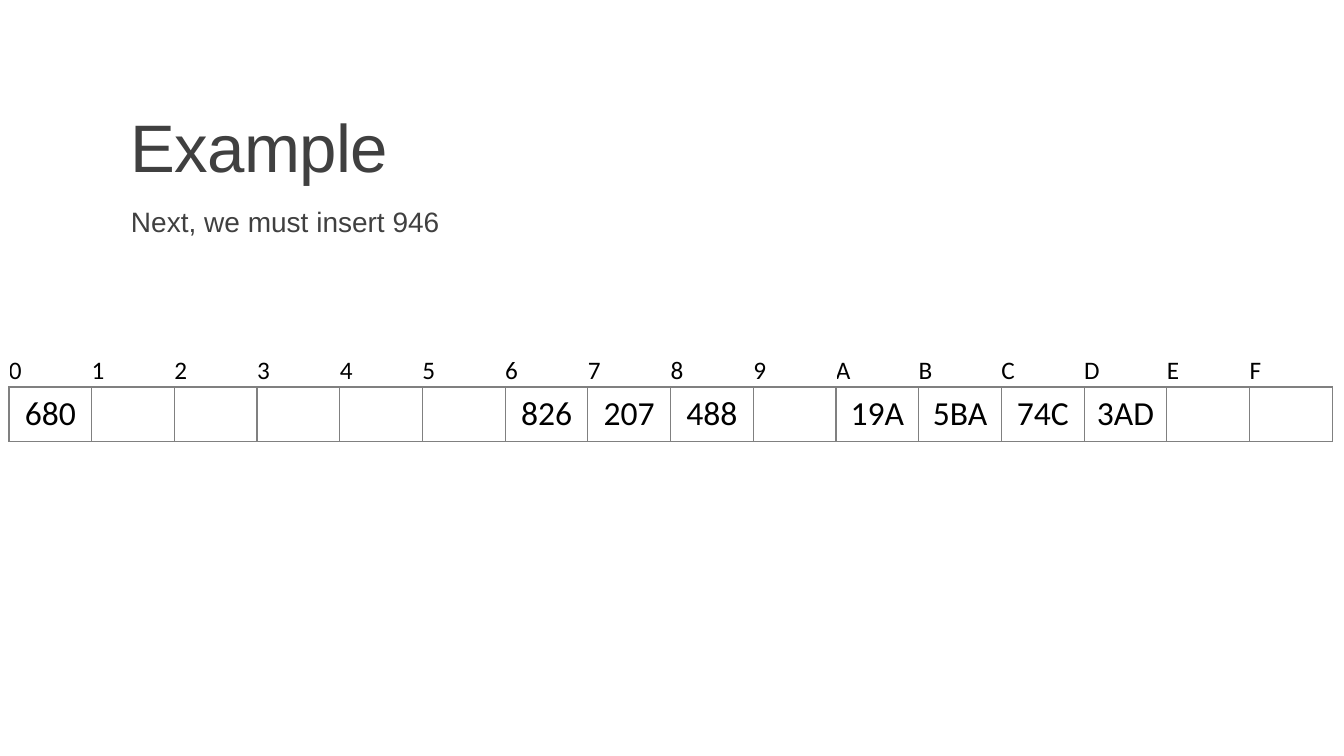
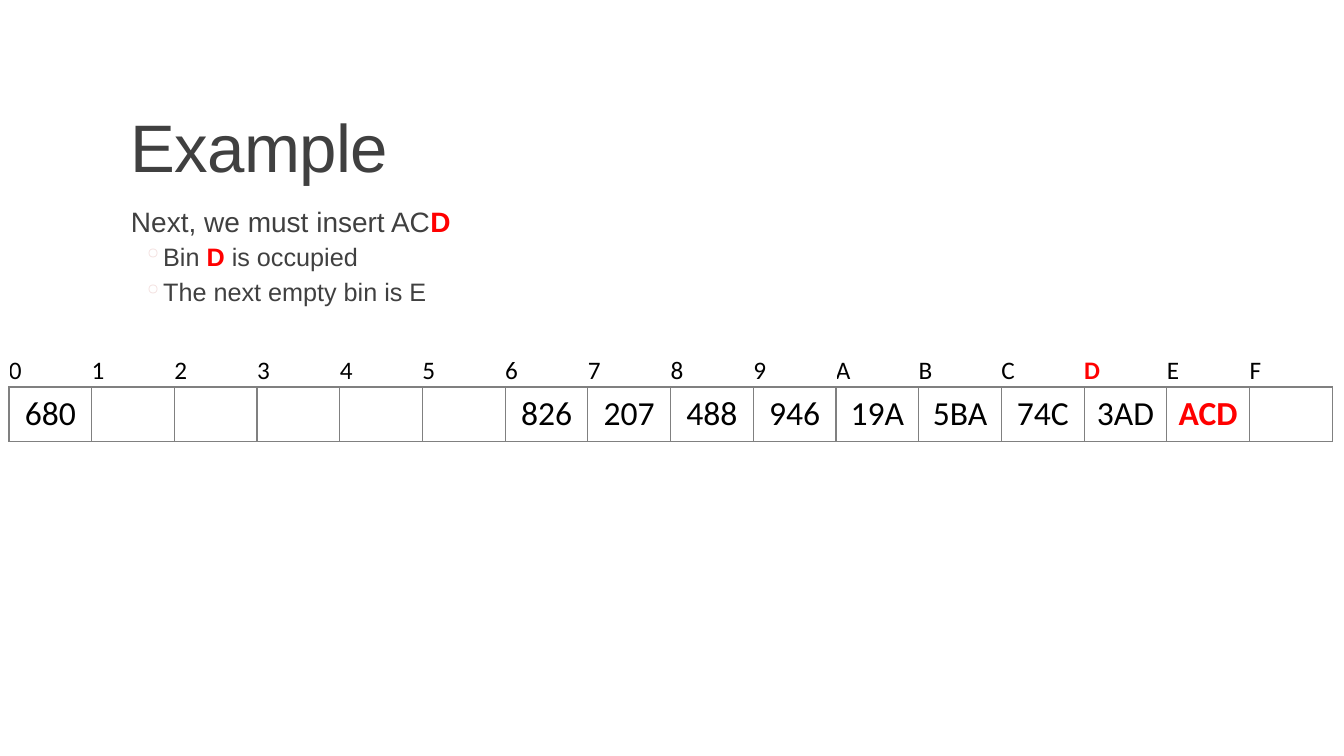
from dataclasses import dataclass

from lxml.etree import SubElement
from pptx import Presentation
from pptx.dml.color import RGBColor
from pptx.enum.text import MSO_ANCHOR, PP_ALIGN
from pptx.oxml.ns import qn
from pptx.util import Pt

BINS = "0123456789ABCDEF"
HASHED = {"0": "680", "6": "826", "7": "207", "8": "488",
          "A": "19A", "B": "5BA", "C": "74C", "D": "3AD"}
SLIDES = [
    {
        "title": "Example",
        "body": [(0, ["Next, we must insert 946"])],
        "table": HASHED,
        "highlights": set(),
    },
    {
        "title": "Example",
        "body": [
            (0, ["Next, we must insert AC", "D"]),
            (1, ["Bin ", "D", " is occupied"]),
            (1, ["The next empty bin is E"]),
        ],
        "table": {**HASHED, "9": "946", "E": "ACD"},
        "highlights": {"D", "ACD"},
    },
]


@dataclass(frozen=True)
class Theme:
    heading_font: str = "Arial"
    table_font: str = "Calibri"
    text: str = "404040"
    table_text: str = "000000"
    highlight: str = "FF0000"
    bullet: str = "F2DCDB"
    border: str = "808080"
    title_size: int = 48
    body_sizes: tuple = (20, 18)
    label_size: int = 18
    value_size: int = 24


THEME = Theme()
TITLE_BOX = (86.4, 22.3, 792, 114.5)
BODY_BOX = (86.4, 145.4, 792, 316.8)
TABLE_LEFT, TABLE_TOP = 6.4, 252.8
COLUMN_WIDTH = 59.08
ROW_HEIGHTS = (23.7, 38.7)


def set_font(font, name, size, color):
    font.name = name
    font.size = Pt(size)
    font.color.rgb = RGBColor.from_string(color)


def highlight(font):
    font.bold = True
    font.color.rgb = RGBColor.from_string(THEME.highlight)


def add_text_frame(slide, box):
    frame = slide.shapes.add_textbox(*map(Pt, box)).text_frame
    frame.word_wrap = True
    return frame


def add_title(slide, title):
    frame = add_text_frame(slide, TITLE_BOX)
    frame.vertical_anchor = MSO_ANCHOR.BOTTOM
    paragraph = frame.paragraphs[0]
    paragraph.line_spacing = 0.85
    run = paragraph.add_run()
    run.text = title
    run._r.get_or_add_rPr().set("spc", "-50")
    set_font(paragraph.font, THEME.heading_font, THEME.title_size, THEME.text)


def format_level(paragraph, level):
    paragraph.level = level
    paragraph.line_spacing = 0.9
    paragraph.space_after = Pt((2, 4)[level])
    properties = paragraph._p.get_or_add_pPr()
    properties.set("marL", str(Pt((7.2, 30.2)[level])))
    if level:
        paragraph.space_before = Pt(2)
        properties.set("indent", str(Pt(-14.4)))
        color = SubElement(properties, qn("a:buClr"))
        SubElement(color, qn("a:srgbClr"), val=THEME.bullet)
        SubElement(properties, qn("a:buChar"), char="◦")
    set_font(paragraph.font, THEME.heading_font, THEME.body_sizes[level], THEME.text)


def add_body(slide, lines, highlights):
    frame = add_text_frame(slide, BODY_BOX)
    frame.margin_left = frame.margin_right = 0
    for index, (level, pieces) in enumerate(lines):
        paragraph = frame.add_paragraph() if index else frame.paragraphs[0]
        format_level(paragraph, level)
        for piece in pieces:
            run = paragraph.add_run()
            run.text = piece
            if piece in highlights:
                highlight(run.font)


def add_borders(cell, sides):
    properties = cell._tc.get_or_add_tcPr()
    for side in sides:
        line = SubElement(properties, qn(f"a:ln{side}"), w=str(Pt(1)))
        fill = SubElement(line, qn("a:solidFill"))
        SubElement(fill, qn("a:srgbClr"), val=THEME.border)


def fill_cell(cell, text, size, alignment, borders, highlights):
    cell.margin_left = cell.margin_right = cell.margin_top = cell.margin_bottom = 0
    cell.vertical_anchor = MSO_ANCHOR.MIDDLE
    add_borders(cell, borders)
    cell.fill.background()
    cell.text = text
    paragraph = cell.text_frame.paragraphs[0]
    paragraph.alignment = alignment
    set_font(paragraph.font, THEME.table_font, size, THEME.table_text)
    if text in highlights:
        highlight(paragraph.font)


def add_hash_table(slide, values, highlights):
    frame = slide.shapes.add_table(
        2, len(BINS), Pt(TABLE_LEFT), Pt(TABLE_TOP),
        Pt(COLUMN_WIDTH * len(BINS)), Pt(sum(ROW_HEIGHTS)))
    table = frame.table
    table.first_row = table.horz_banding = False
    for row, height in zip(table.rows, ROW_HEIGHTS):
        row.height = Pt(height)
    for column, label in enumerate(BINS):
        table.columns[column].width = Pt(COLUMN_WIDTH)
        fill_cell(table.cell(0, column), label, THEME.label_size,
                  PP_ALIGN.LEFT, "B", highlights)
        fill_cell(table.cell(1, column), values.get(label, ""), THEME.value_size,
                  PP_ALIGN.CENTER, "LRTB", highlights)


def main():
    presentation = Presentation()
    presentation.slide_width, presentation.slide_height = Pt(960), Pt(540)
    for content in SLIDES:
        slide = presentation.slides.add_slide(presentation.slide_layouts[6])
        add_body(slide, content["body"], content["highlights"])
        add_title(slide, content["title"])
        add_hash_table(slide, content["table"], content["highlights"])
    presentation.save("out.pptx")


if __name__ == "__main__":
    main()
